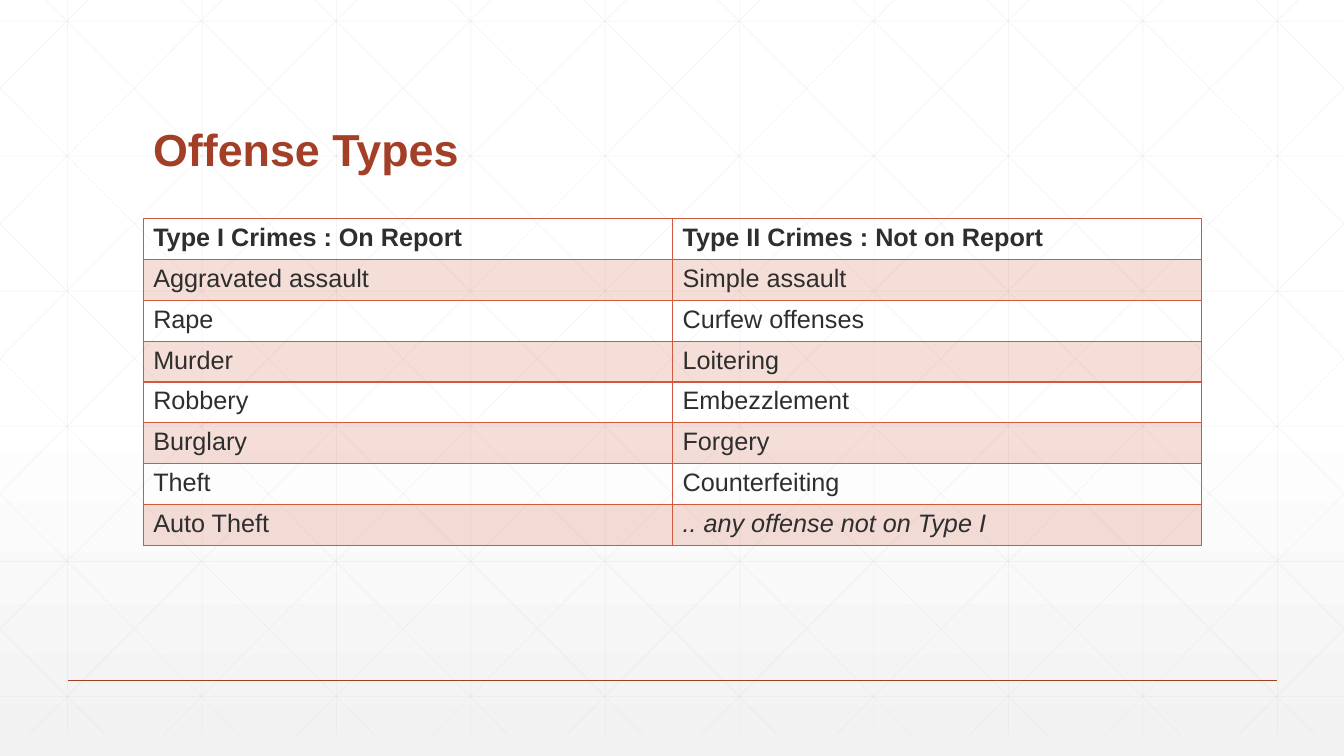
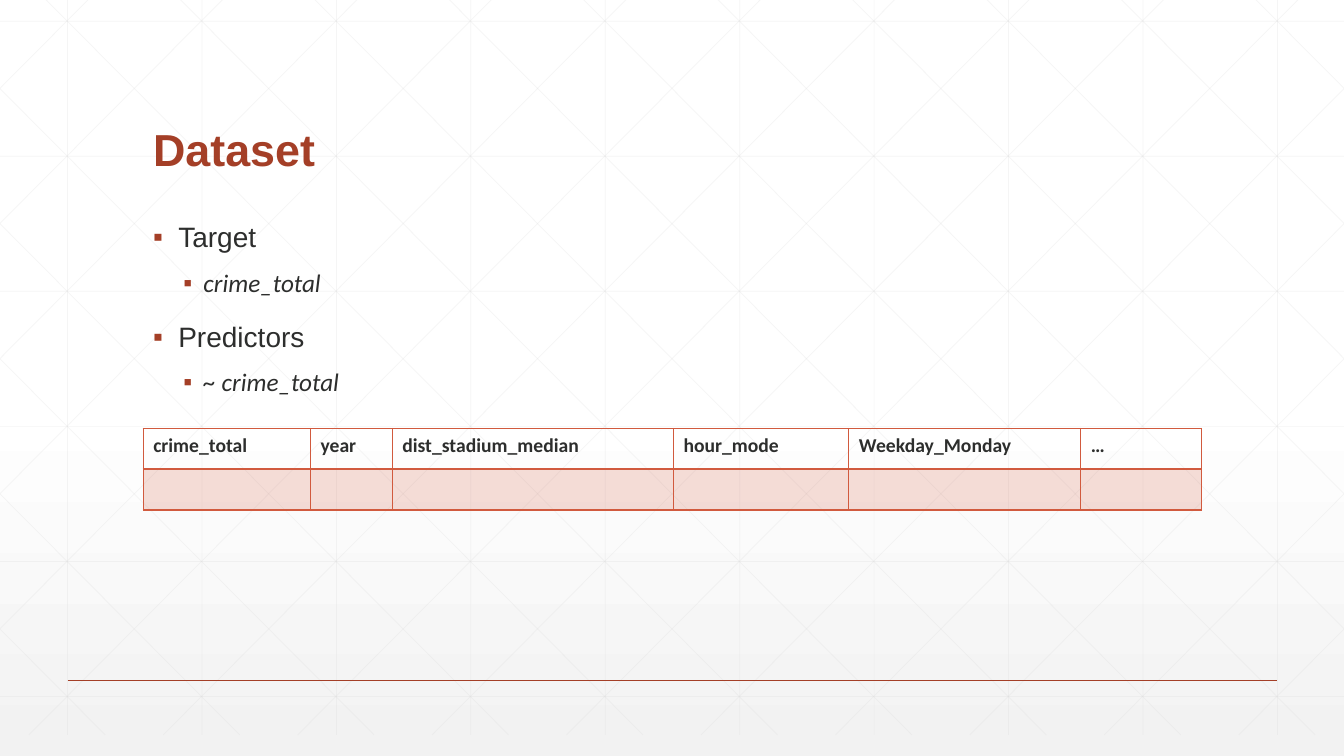
from dataclasses import dataclass, replace

from pptx import Presentation
from pptx.dml.color import RGBColor
from pptx.enum.shapes import MSO_CONNECTOR
from pptx.enum.text import MSO_ANCHOR
from pptx.oxml.ns import qn
from pptx.oxml.xmlchemy import OxmlElement
from pptx.util import Inches, Pt

WHITE = RGBColor(0xFF, 0xFF, 0xFF)
PALE_GRAY = RGBColor(0xF2, 0xF2, 0xF2)
LATTICE_GRAY = RGBColor(0xD9, 0xD9, 0xD9)
RUST = RGBColor(0xA4, 0x3F, 0x27)
TERRACOTTA = RGBColor(0xD1, 0x5A, 0x3E)
INK = RGBColor(0x2D, 0x2E, 0x2D)

WIDTH, HEIGHT = 13.33, 7.5
CONTENT_LEFT, CONTENT_WIDTH = 1.42, 10.5
LATTICE_TOP, LATTICE_BOTTOM = -0.21, 7.29
LATTICE_STEP = 4 / 3
DIAGONAL_RUN = 7.46


@dataclass(frozen=True)
class TextStyle:
    size: int
    font: str = "Arial"
    color: RGBColor = INK
    bold: bool = False
    italic: bool = False


@dataclass(frozen=True)
class BulletLevel:
    style: TextStyle
    margin: float
    hanging: float
    space_before: int


TITLE = TextStyle(32, color=RUST, bold=True)
OFFENSE = TextStyle(18)
COLUMN_NAME = TextStyle(14, font="Calibri", bold=True)
LEVELS = (
    BulletLevel(TextStyle(20), 0.25, 0.25, 18),
    BulletLevel(TextStyle(18, font="Calibri", italic=True), 0.5, 0.2, 12),
)

OFFENSES = (
    ("Type I Crimes : On Report", "Type II Crimes : Not on Report"),
    ("Aggravated assault", "Simple assault"),
    ("Rape", "Curfew offenses"),
    ("Murder", "Loitering"),
    ("Robbery", "Embezzlement"),
    ("Burglary", "Forgery"),
    ("Theft", "Counterfeiting"),
    ("Auto Theft", ".. any offense not on Type I"),
)
COLUMNS = (
    ("crime_total", "year", "dist_stadium_median", "hour_mode", "Weekday_Monday", "…"),
    ("",) * 6,
)
VARIABLES = (
    (0, "Target"),
    (1, "crime_total"),
    (0, "Predictors"),
    (1, "~ crime_total"),
)


def add_child(parent, tag, **attributes):
    child = OxmlElement(tag)
    for key, value in attributes.items():
        child.set(key, str(value))
    parent.append(child)
    return child


def set_opacity(fill_owner, percent):
    color = fill_owner.find(qn("a:solidFill")).find(qn("a:srgbClr"))
    add_child(color, "a:alpha", val=percent * 1000)


def add_line(slide, start, end, color, width, opacity=100):
    line = slide.shapes.add_connector(
        MSO_CONNECTOR.STRAIGHT, *(Inches(value) for value in (*start, *end))
    )
    line.line.color.rgb = color
    line.line.width = Pt(width)
    if opacity < 100:
        set_opacity(line.line._get_or_add_ln(), opacity)
    add_child(line._element.spPr, "a:effectLst")


def lattice_segments():
    for column in range(10):
        x = 0.67 + column * LATTICE_STEP
        yield (x, LATTICE_TOP), (x, LATTICE_BOTTOM)
    for row in range(6):
        y = 0.21 + row * 1.34
        yield (0, y), (WIDTH, y)
    slope = (LATTICE_BOTTOM - LATTICE_TOP) / DIAGONAL_RUN
    for index in range(-5, 10):
        origin = 0.25 + index * LATTICE_STEP
        left, right = max(origin, 0), min(origin + DIAGONAL_RUN, WIDTH)
        top, bottom = (LATTICE_TOP + (x - origin) * slope for x in (left, right))
        yield (left, top), (right, bottom)
        yield (WIDTH - left, top), (WIDTH - right, bottom)


def add_run(paragraph, text, style):
    run = paragraph.add_run()
    run.text = text
    run.font.size = Pt(style.size)
    run.font.name = style.font
    run.font.bold = style.bold
    run.font.italic = style.italic
    run.font.color.rgb = style.color


def add_text_frame(slide, top, height):
    frame = slide.shapes.add_textbox(
        Inches(CONTENT_LEFT), Inches(top), Inches(CONTENT_WIDTH), Inches(height)
    ).text_frame
    frame.word_wrap = True
    return frame


def add_content_slide(prs, title):
    slide = prs.slides.add_slide(prs.slide_layouts[6])
    for start, end in lattice_segments():
        add_line(slide, start, end, LATTICE_GRAY, 0.5, opacity=25)
    add_line(slide, (0.67, 6.75), (12.67, 6.75), RUST, 1)
    frame = add_text_frame(slide, 0.55, 1.25)
    frame.vertical_anchor = MSO_ANCHOR.BOTTOM
    frame.paragraphs[0].line_spacing = 0.9
    add_run(frame.paragraphs[0], title, TITLE)
    return slide


def add_bullets(slide, items):
    frame = add_text_frame(slide, 2.17, 4.17)
    for index, (depth, text) in enumerate(items):
        level = LEVELS[depth]
        paragraph = frame.add_paragraph() if index else frame.paragraphs[0]
        paragraph.level = depth
        properties = paragraph._p.get_or_add_pPr()
        properties.set("marL", str(Inches(level.margin)))
        properties.set("indent", str(-Inches(level.hanging)))
        bullet_color = add_child(properties, "a:buClr")
        add_child(bullet_color, "a:srgbClr", val=RUST)
        add_child(properties, "a:buFont", typeface="Arial")
        add_child(properties, "a:buChar", char="▪")
        paragraph.line_spacing = 0.9
        if index:
            paragraph.space_before = Pt(level.space_before)
        add_run(paragraph, text, level.style)


def set_borders(cell, top, bottom):
    properties = cell._tc.get_or_add_tcPr()
    for side, width in (("L", 1), ("R", 1), ("T", top), ("B", bottom)):
        border = add_child(properties, f"a:ln{side}", w=Pt(width))
        add_child(add_child(border, "a:solidFill"), "a:srgbClr", val=TERRACOTTA)


def add_banded_table(slide, top, height, widths, rows, style, header_rule=1, italic_cells=()):
    table = slide.shapes.add_table(
        len(rows), len(widths),
        Inches(CONTENT_LEFT), Inches(top), Inches(CONTENT_WIDTH), Inches(height),
    ).table
    table.first_row = False
    table.horz_banding = False
    for column, width in zip(table.columns, widths):
        column.width = Inches(width)
    for r, texts in enumerate(rows):
        for c, text in enumerate(texts):
            cell = table.cell(r, c)
            set_borders(
                cell,
                top=header_rule if r == 1 else 1,
                bottom=header_rule if r == 0 else 1,
            )
            if r % 2:
                cell.fill.solid()
                cell.fill.fore_color.rgb = TERRACOTTA
                set_opacity(cell._tc.tcPr, 20)
            else:
                cell.fill.background()
            if text:
                cell_style = replace(style, bold=r == 0, italic=(r, c) in italic_cells)
                add_run(cell.text_frame.paragraphs[0], text, cell_style)


def set_background(master):
    fill = master.background.fill
    fill.gradient()
    fill.gradient_angle = 270
    for stop, position, color in zip(fill.gradient_stops, (0.53, 1), (WHITE, PALE_GRAY)):
        stop.position = position
        stop.color.rgb = color


def main():
    prs = Presentation()
    prs.slide_width = Inches(WIDTH)
    prs.slide_height = Inches(HEIGHT)
    set_background(prs.slide_master)

    offense_types = add_content_slide(prs, "Offense Types")
    add_banded_table(
        offense_types, 2.17, 3.24, (5.25, 5.25), OFFENSES, OFFENSE, italic_cells=((7, 1),)
    )

    dataset = add_content_slide(prs, "Dataset")
    add_bullets(dataset, VARIABLES)
    add_banded_table(
        dataset, 4.25, 0.81, (1.66, 0.81, 2.79, 1.74, 2.3, 1.2), COLUMNS, COLUMN_NAME,
        header_rule=2,
    )

    prs.save("out.pptx")


if __name__ == "__main__":
    main()
